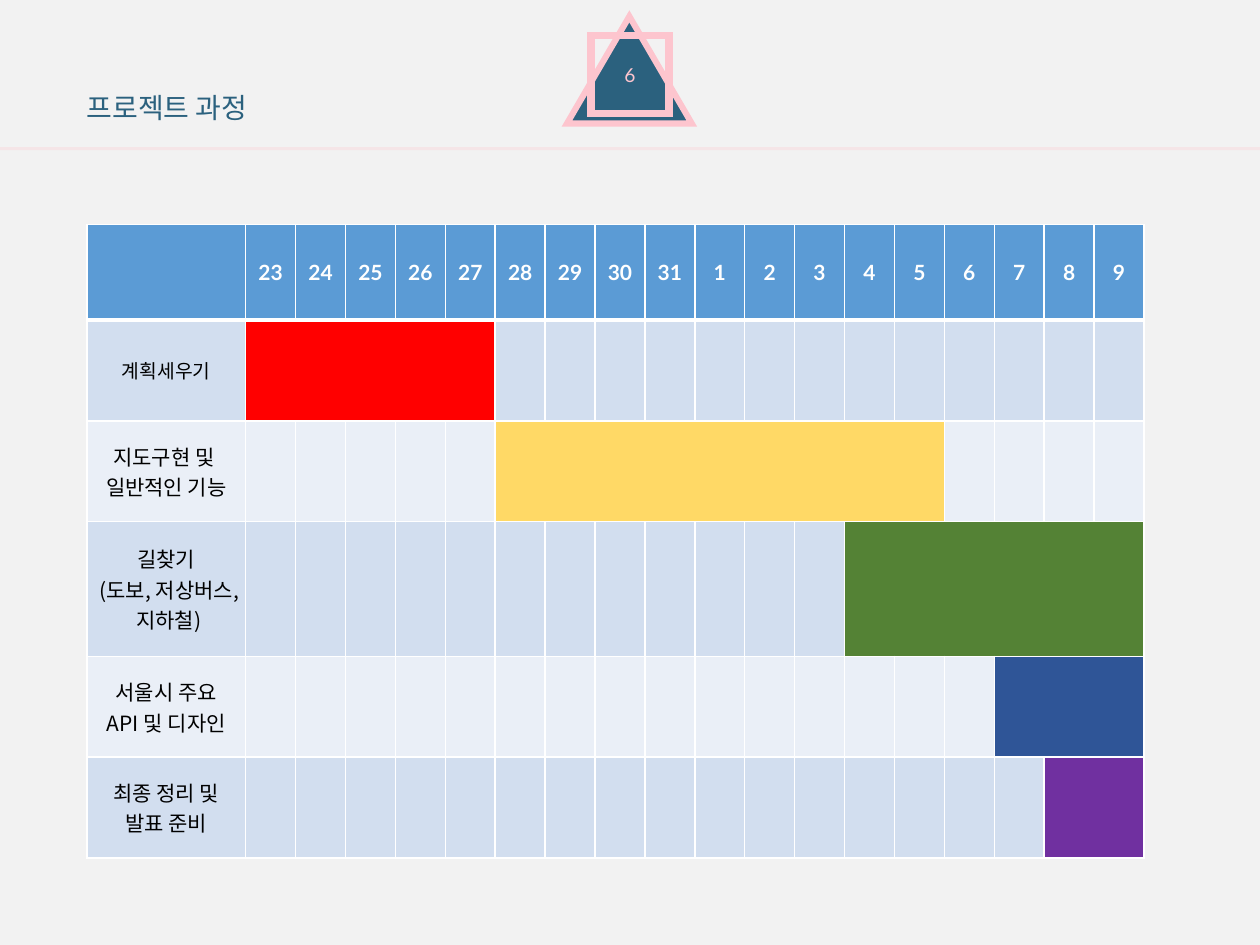
from lxml import etree
from pptx import Presentation
from pptx import util as u
from pptx.dml.color import RGBColor
from pptx.enum import shapes, text
from pptx.oxml import ns

TEAL = RGBColor(0x2B, 0x61, 0x7E)
PINK = RGBColor(0xFD, 0xC5, 0xCE)
GRAY = RGBColor(0xF2, 0xF2, 0xF2)
WHITE = RGBColor(0xFF, 0xFF, 0xFF)
BLACK = RGBColor(0x00, 0x00, 0x00)
BLUE = RGBColor(0x5B, 0x9B, 0xD5)
BANDS = RGBColor(0xD2, 0xDE, 0xEF), RGBColor(0xEA, 0xEF, 0xF7)
RED = RGBColor(0xFF, 0x00, 0x00)
GOLD = RGBColor(0xFF, 0xD9, 0x66)
GREEN = RGBColor(0x54, 0x82, 0x35)
NAVY = RGBColor(0x2F, 0x55, 0x97)
PLUM = RGBColor(0x70, 0x30, 0xA0)
LATIN, HANGUL = "Lato", "Noto Sans CJK KR"

DAYS = [*range(23, 32), *range(1, 10)]
TASKS = [
    (["계획세우기"], 11, 1, 5, RED),
    (["지도구현 및 ", "일반적인 기능"], 12, 6, 9, GOLD),
    (["길찾기", "(도보, 저상버스, 지하철)"], 12, 13, 6, GREEN),
    (["서울시 주요 API 및 디자인"], 12, 16, 3, NAVY),
    (["최종 정리 및 발표 준비"], 12, 17, 2, PLUM),
]
ROWS = [0.76, 0.8, 0.8, 1.07, 0.8, 0.8]


def write(frame, lines, size=12, color=BLACK, font=HANGUL, bold=False,
          align=text.PP_ALIGN.CENTER, space=None):
    for i, line in enumerate(lines):
        para = frame.add_paragraph() if i else frame.paragraphs[0]
        para.alignment = align
        para.line_spacing = space
        run = para.add_run()
        run.text = line
        run.font.size = u.Pt(size)
        run.font.bold = bold
        run.font.name = font
        run.font.color.rgb = color
        face = etree.SubElement(run.font._element, ns.qn("a:ea"))
        face.set("typeface", font)


class Deck:
    """Holds the style and the current slide, and draws each kind of element."""

    def __init__(self):
        self.prs = Presentation()
        self.prs.slide_width, self.prs.slide_height = u.Inches(10), u.Inches(7.5)
        self.slide = self.prs.slides.add_slide(self.prs.slide_layouts[6])
        back = self.slide.background.fill
        back.solid()
        back.fore_color.rgb = GRAY

    def frame(self, item, pad):
        frame = item.text_frame
        frame.word_wrap = True
        frame.vertical_anchor = text.MSO_ANCHOR.MIDDLE
        frame.margin_left = frame.margin_right = 0
        frame.margin_top = frame.margin_bottom = u.Inches(pad)
        return frame

    def shape(self, kind, box, fill, width):
        item = self.slide.shapes.add_shape(kind, *map(u.Inches, box))
        item.shadow.inherit = False
        if fill is None:
            item.fill.background()
        else:
            item.fill.solid()
            item.fill.fore_color.rgb = fill
        item.line.color.rgb = PINK
        item.line.width = u.Pt(width)
        edge = item._element.spPr.find(ns.qn("a:ln"))
        etree.SubElement(edge, ns.qn("a:miter")).set("lim", "800000")
        return item

    def label(self, box, line, **style):
        item = self.slide.shapes.add_textbox(*map(u.Inches, box))
        write(self.frame(item, 0.05), [line], **style)

    def rule(self, y, width, alpha):
        item = self.slide.shapes.add_connector(
            shapes.MSO_CONNECTOR.STRAIGHT, 0, u.Inches(y), u.Inches(10), u.Inches(y))
        item.line.color.rgb = PINK
        item.line.width = u.Pt(width)
        etree.SubElement(item._element.spPr, ns.qn("a:effectLst"))
        tint = item._element.spPr.find(".//" + ns.qn("a:srgbClr"))
        etree.SubElement(tint, ns.qn("a:alpha")).set("val", str(alpha * 1000))

    def cell(self, cell, fill, top=1, base=1):
        props = cell._tc.get_or_add_tcPr()
        for side, width in zip("LRTB", (1, 1, top, base)):
            edge = etree.SubElement(props, ns.qn("a:ln" + side), w=str(u.Pt(width)))
            paint = etree.SubElement(edge, ns.qn("a:solidFill"))
            etree.SubElement(paint, ns.qn("a:srgbClr"), val=str(WHITE))
        cell.fill.solid()
        cell.fill.fore_color.rgb = fill
        cell.vertical_anchor = text.MSO_ANCHOR.MIDDLE

    def gantt(self, left, top, width, first):
        cols = len(DAYS) + 1
        box = left, top, width, sum(ROWS)
        grid = self.slide.shapes.add_table(len(ROWS), cols, *map(u.Inches, box)).table
        for i, col in enumerate(grid.columns):
            col.width = u.Inches((width - first) / len(DAYS) if i else first)
        for row, height in zip(grid.rows, ROWS):
            row.height = u.Inches(height)
        for c in range(cols):
            self.cell(grid.cell(0, c), BLUE, base=3)
            if c:
                write(grid.cell(0, c).text_frame, [str(DAYS[c - 1])],
                      font=LATIN, color=WHITE, bold=True)
        for r, (lines, size, start, span, color) in enumerate(TASKS, 1):
            for c in range(cols):
                busy = start <= c < start + span
                self.cell(grid.cell(r, c), color if busy else BANDS[(r - 1) % 2],
                          top=3 if r == 1 else 1)
            grid.cell(r, start).merge(grid.cell(r, start + span - 1))
            write(grid.cell(r, 0).text_frame, lines, size=size)


def main():
    deck = Deck()
    kinds = shapes.MSO_SHAPE
    deck.shape(kinds.ISOSCELES_TRIANGLE, (4.5, 0.13, 0.99, 0.85), TEAL, 3.5)
    deck.rule(1.18, 1.75, 27)
    badge = deck.shape(kinds.RECTANGLE, (4.69, 0.28, 0.62, 0.62), None, 4.25)
    write(deck.frame(badge, 0.2), ["6"], size=11, color=PINK, font=LATIN)
    deck.label((0.69, 0.77, 3.51, 0.2), "프로젝트 과정", size=16, color=TEAL,
               align=text.PP_ALIGN.JUSTIFY, space=0.9)
    deck.gantt(0.69, 1.78, 8.39, 1.26)
    deck.prs.save("out.pptx")


if __name__ == "__main__":
    main()
